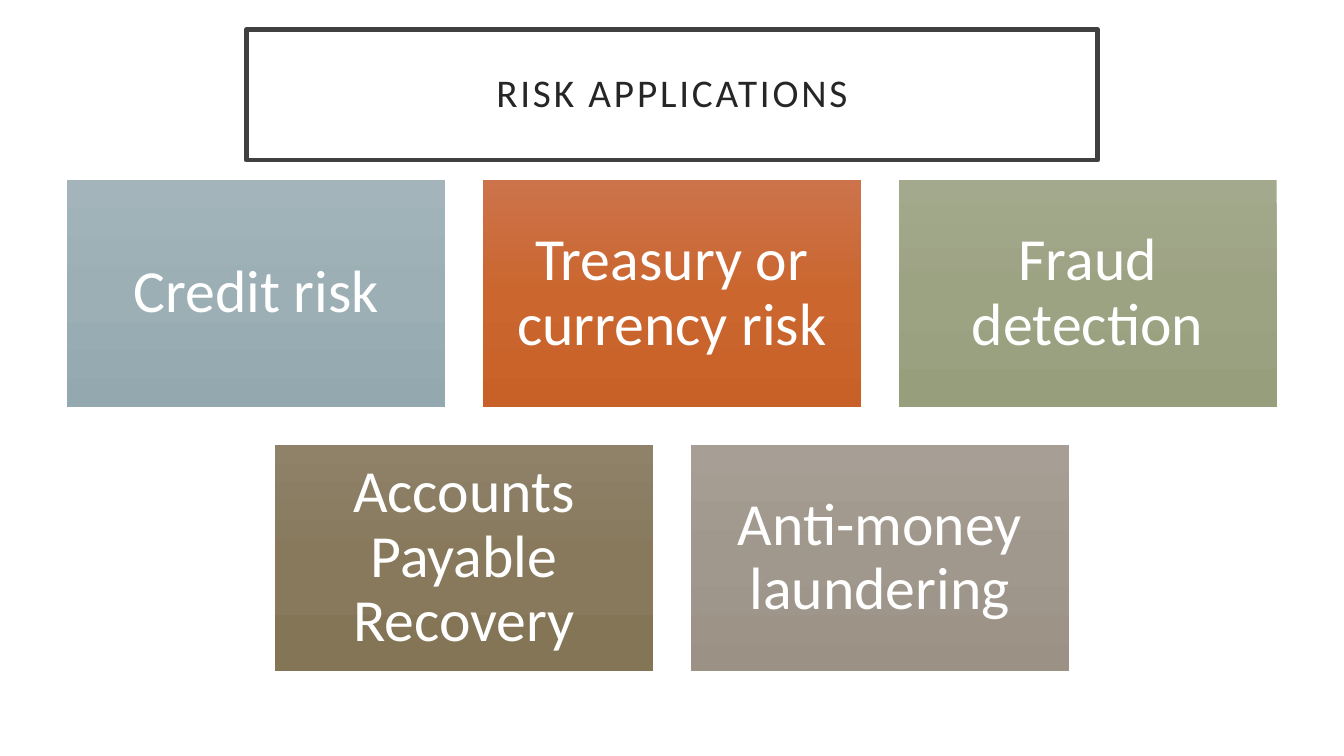
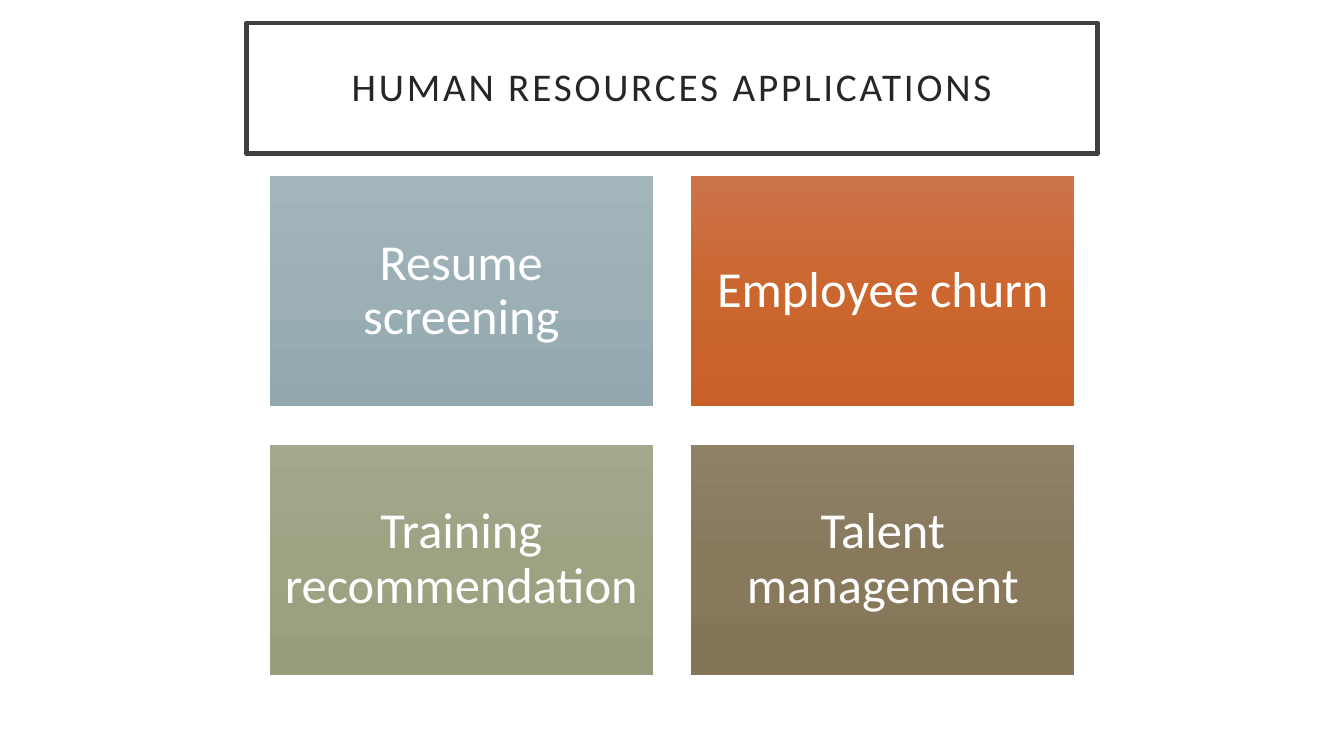
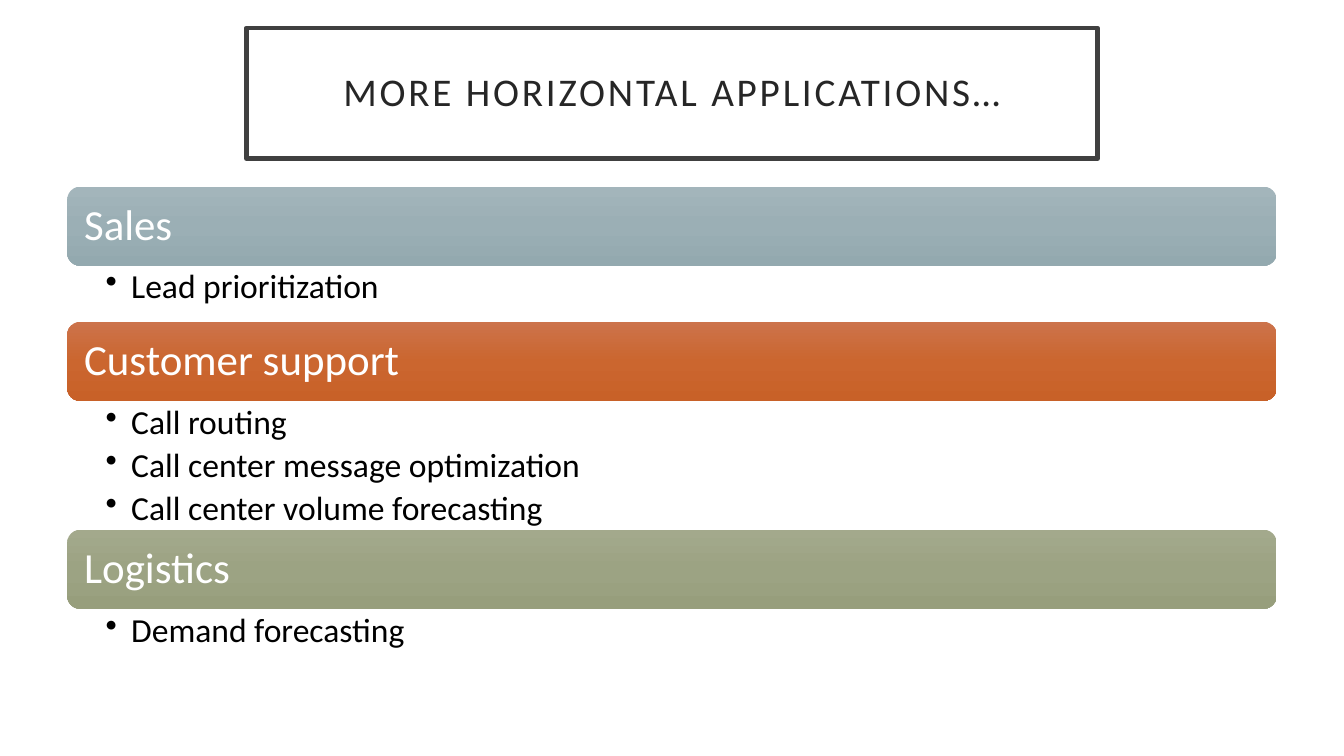
from copy import deepcopy
from dataclasses import dataclass

from lxml import etree
from pptx import Presentation
from pptx.dml import color as dml
from pptx.enum import shapes, text
from pptx.oxml import ns
from pptx.util import Pt

FONT = "Calibri"
WHITE, BLACK, INK, BORDER = "FFFFFF", "000000", "262626", "404040"
SLIDE_WIDTH, SLIDE_HEIGHT, MARGIN = 720, 405, 36
TITLE_WIDTH, TITLE_HEIGHT = 456, 70
BAR_HEIGHT = 42.4
BULLET_INDENT = 13.7

BLUE = ("A3B5BB", "9BAFB5", "93A9AF")
ORANGE = ("CC734B", "CB662F", "C86128")
GREEN = ("A3A98C", "9CA383", "979E7C")
BROWN = ("8F8269", "88795C", "847557")
TAUPE = ("A79F95", "A0988C", "9B9285")
ACCENTS = (BLUE, ORANGE, GREEN, BROWN, TAUPE)


@dataclass(frozen=True)
class Box:
    left: float
    top: float
    width: float
    height: float

    def lengths(self) -> list:
        return [Pt(n) for n in (self.left, self.top, self.width, self.height)]


@dataclass(frozen=True)
class CardGrid:
    rows: tuple
    top: float
    card_width: float
    size: float
    inset: float


@dataclass(frozen=True)
class Section:
    heading: str
    points: tuple
    list_height: float


def rgb(value: str) -> dml.RGBColor:
    return dml.RGBColor.from_string(value)


def set_frame(frame, insets: tuple, anchor) -> None:
    frame.word_wrap = True
    frame.vertical_anchor = anchor
    frame.margin_left, frame.margin_top, frame.margin_right, frame.margin_bottom = map(Pt, insets)


def write(paragraph, words: str, size: float, colour: str, align):
    paragraph.alignment = align
    paragraph.line_spacing = 0.9
    run = paragraph.add_run()
    run.text = words
    run.font.name = FONT
    run.font.size = Pt(size)
    run.font.color.rgb = rgb(colour)
    return run


def add_panel(slide, kind, box: Box, words: str, size: float, colour: str, inset: float, align):
    panel = slide.shapes.add_shape(kind, *box.lengths())
    panel.shadow.inherit = False
    panel.line.fill.background()
    set_frame(panel.text_frame, (inset,) * 4, text.MSO_ANCHOR.MIDDLE)
    run = write(panel.text_frame.paragraphs[0], words, size, colour, align)
    return panel, run


def shade(panel, accent: tuple) -> None:
    panel.fill.gradient()
    panel.fill.gradient_angle = 270
    stops = panel._element.spPr.find(".//" + ns.qn("a:gsLst"))
    stops.insert(1, deepcopy(stops[0]))
    for stop, tone, position in zip(panel.fill.gradient_stops, accent, (0, 0.5, 1)):
        stop.color.rgb = rgb(tone)
        stop.position = position


def add_titled_slide(deck, title: str, top: float):
    slide = deck.slides.add_slide(deck.slide_layouts[6])
    box = Box((SLIDE_WIDTH - TITLE_WIDTH) / 2, top, TITLE_WIDTH, TITLE_HEIGHT)
    banner, run = add_panel(slide, shapes.MSO_SHAPE.RECTANGLE, box, title, 21, INK, 14.4,
                            text.PP_ALIGN.CENTER)
    banner.fill.solid()
    banner.fill.fore_color.rgb = rgb(WHITE)
    banner.line.color.rgb = rgb(BORDER)
    banner.line.width = Pt(2.5)
    run.font._element.set("spc", "150")
    return slide


def add_cards(slide, grid: CardGrid) -> None:
    width, height, gap = grid.card_width, grid.card_width * 0.6, grid.card_width * 0.1
    accents = iter(ACCENTS)
    for row, labels in enumerate(grid.rows):
        row_width = len(labels) * (width + gap) - gap
        for column, label in enumerate(labels):
            box = Box((SLIDE_WIDTH - row_width) / 2 + column * (width + gap),
                      grid.top + row * (height + gap), width, height)
            card, _ = add_panel(slide, shapes.MSO_SHAPE.RECTANGLE, box, label, grid.size,
                                WHITE, grid.inset, text.PP_ALIGN.CENTER)
            shade(card, next(accents))


def add_points(slide, box: Box, points: tuple) -> None:
    frame = slide.shapes.add_textbox(*box.lengths()).text_frame
    set_frame(frame, (20.6, 2.2, 13, 2.2), text.MSO_ANCHOR.TOP)
    for index, point in enumerate(points):
        paragraph = frame.add_paragraph() if index else frame.paragraphs[0]
        write(paragraph, point, 18, BLACK, text.PP_ALIGN.LEFT)
        paragraph.level = 1
        paragraph.space_after = Pt(3.6)
        properties = paragraph._p.get_or_add_pPr()
        properties.set("marL", str(Pt(BULLET_INDENT)))
        properties.set("indent", str(-Pt(BULLET_INDENT)))
        etree.SubElement(properties, ns.qn("a:buChar")).set("char", "•")


def add_sections(slide, sections: tuple, top: float) -> None:
    width = SLIDE_WIDTH - 2 * MARGIN
    for section, accent in zip(sections, ACCENTS):
        bar, _ = add_panel(slide, shapes.MSO_SHAPE.ROUNDED_RECTANGLE,
                           Box(MARGIN, top, width, BAR_HEIGHT), section.heading, 23, WHITE, 7,
                           text.PP_ALIGN.LEFT)
        shade(bar, accent)
        top += BAR_HEIGHT
        add_points(slide, Box(MARGIN, top, width, section.list_height), section.points)
        top += section.list_height


RISKS = CardGrid(
    (("Credit risk", "Treasury or currency risk", "Fraud detection"),
     ("Accounts Payable Recovery", "Anti-money laundering")),
    top=96.5, card_width=202.5, size=32, inset=9.6)
HUMAN_RESOURCES = CardGrid(
    (("Resume screening", "Employee churn"),
     ("Training recommendation", "Talent management")),
    top=94.5, card_width=205.3, size=27, inset=8.1)
MORE = (
    Section("Sales", ("Lead prioritization",), 30),
    Section("Customer support", ("Call routing", "Call center message optimization",
                                 "Call center volume forecasting"), 69),
    Section("Logistics", ("Demand forecasting",), 30),
)


def main() -> None:
    deck = Presentation()
    deck.slide_width, deck.slide_height = Pt(SLIDE_WIDTH), Pt(SLIDE_HEIGHT)
    add_cards(add_titled_slide(deck, "RISK APPLICATIONS", 15.8), RISKS)
    add_cards(add_titled_slide(deck, "HUMAN RESOURCES APPLICATIONS", 12.4), HUMAN_RESOURCES)
    add_sections(add_titled_slide(deck, "MORE HORIZONTAL APPLICATIONS…", 15), MORE, 100)
    deck.save("out.pptx")


if __name__ == "__main__":
    main()
